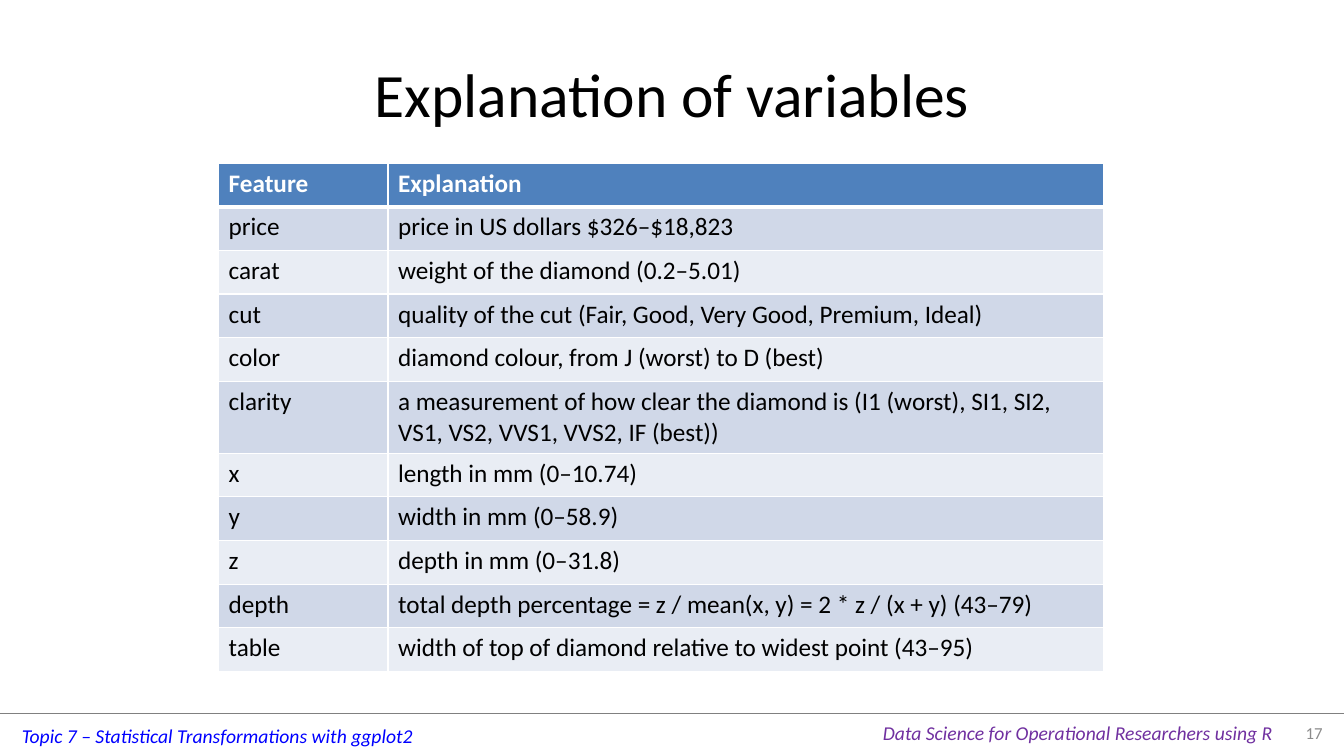
from lxml import etree
from pptx import Presentation
from pptx.dml.color import RGBColor
from pptx.enum.shapes import MSO_CONNECTOR
from pptx.enum.text import MSO_ANCHOR, PP_ALIGN
from pptx.oxml.ns import qn
from pptx.util import Cm, Pt

BLACK = RGBColor(0x00, 0x00, 0x00)
WHITE = RGBColor(0xFF, 0xFF, 0xFF)
GREY = RGBColor(0x80, 0x80, 0x80)
LIGHT_GREY = RGBColor(0x8C, 0x8C, 0x8C)
BLUE = RGBColor(0x00, 0x00, 0xFF)
PURPLE = RGBColor(0x70, 0x30, 0xA0)
HEADER = RGBColor(0x4F, 0x81, 0xBD)
BANDS = [RGBColor(0xE9, 0xED, 0xF4), RGBColor(0xD0, 0xD8, 0xE8)]

WIDTH, HEIGHT = 33.87, 19.05
ROW_HEIGHT, TALL_ROW_HEIGHT = 1.1, 1.81
FEATURES = [
    ("Feature", "Explanation"),
    ("price", "price in US dollars $326–$18,823"),
    ("carat", "weight of the diamond (0.2–5.01)"),
    ("cut", "quality of the cut (Fair, Good, Very Good, Premium, Ideal)"),
    ("color", "diamond colour, from J (worst) to D (best)"),
    ("clarity", "a measurement of how clear the diamond is "
                "(I1 (worst), SI1, SI2, VS1, VS2, VVS1, VVS2, IF (best))"),
    ("x", "length in mm (0–10.74)"),
    ("y", "width in mm (0–58.9)"),
    ("z", "depth in mm (0–31.8)"),
    ("depth", "total depth percentage = z / mean(x, y) = 2 * z / (x + y) (43–79)"),
    ("table", "width of top of diamond relative to widest point (43–95)"),
]


def write(tf, text, size=18, color=BLACK, bold=False, italic=False,
          align=PP_ALIGN.LEFT):
    """Put one formatted run of text in a text frame."""
    p = tf.paragraphs[0]
    p.alignment = align
    r = p.add_run()
    r.text = text
    r.font.name = "Calibri"
    r.font.size = Pt(size)
    r.font.color.rgb = color
    r.font.bold = bold
    r.font.italic = italic


def add_label(s, text, left, top, width, height, wrap=False,
              anchor=MSO_ANCHOR.TOP, **fmt):
    """Add a text box holding one line of text."""
    tf = s.shapes.add_textbox(Cm(left), Cm(top), Cm(width), Cm(height)).text_frame
    tf.word_wrap = wrap
    tf.vertical_anchor = anchor
    write(tf, text, **fmt)


def add_title(s, text, left, top, width, height):
    """Place and format the title placeholder."""
    sp = s.shapes.title
    sp.left, sp.top, sp.width, sp.height = Cm(left), Cm(top), Cm(width), Cm(height)
    sp.text_frame.vertical_anchor = MSO_ANCHOR.MIDDLE
    write(sp.text_frame, text, size=44, align=PP_ALIGN.CENTER)


def set_borders(cell, top, bottom):
    """Give a cell white borders, 1 pt at the sides."""
    tc_pr = cell._tc.get_or_add_tcPr()
    for side, width in (("L", 1), ("R", 1), ("T", top), ("B", bottom)):
        ln = etree.SubElement(tc_pr, qn(f"a:ln{side}"), w=str(Pt(width)))
        fill = etree.SubElement(ln, qn("a:solidFill"))
        etree.SubElement(fill, qn("a:srgbClr"), val=str(WHITE))


def add_feature_table(s, rows, left, top, widths):
    """Add the banded table of features and their explanations."""
    heights = [TALL_ROW_HEIGHT if name == "clarity" else ROW_HEIGHT
               for name, _ in rows]
    table = s.shapes.add_table(len(rows), len(widths), Cm(left), Cm(top),
                               Cm(sum(widths)), Cm(sum(heights))).table
    for column, width in zip(table.columns, widths):
        column.width = Cm(width)
    for i, (row, height) in enumerate(zip(rows, heights)):
        table.rows[i].height = Cm(height)
        head = i == 0
        for j, text in enumerate(row):
            cell = table.cell(i, j)
            set_borders(cell, top=3 if i == 1 else 1, bottom=3 if head else 1)
            cell.fill.solid()
            cell.fill.fore_color.rgb = HEADER if head else BANDS[i % 2]
            write(cell.text_frame, text, color=WHITE if head else BLACK, bold=head)


def add_footer(s, left, top, width):
    """Add the rule, the two footer texts and the slide number."""
    right = left + width
    line = s.shapes.add_connector(MSO_CONNECTOR.STRAIGHT, Cm(left), Cm(top),
                                  Cm(right), Cm(top))
    line.line.color.rgb = GREY
    line.line.width = Pt(0.25)
    etree.SubElement(line._element.spPr, qn("a:effectLst"))
    add_label(s, "Topic 7 – Statistical Transformations with ggplot2",
              left + 0.3, top + 0.15, 10.5, 0.86,
              size=14, color=BLUE, italic=True)
    add_label(s, "Data Science for Operational Researchers using R",
              right - 11.87, top + 0.09, 10.44, 0.86,
              size=14, color=PURPLE, italic=True)
    add_label(s, "17", right - 1.69, top, 1.4, 1, wrap=True,
              anchor=MSO_ANCHOR.MIDDLE, size=12, color=LIGHT_GREY,
              align=PP_ALIGN.RIGHT)


def main():
    """Build the slide and save it."""
    prs = Presentation()
    prs.slide_width, prs.slide_height = Cm(WIDTH), Cm(HEIGHT)
    s = prs.slides.add_slide(prs.slide_layouts[5])
    add_footer(s, 0, 17.96, WIDTH)
    add_title(s, "Explanation of variables", 1.7, 0.76, 30.48, 3.18)
    add_feature_table(s, FEATURES, 5.51, 4.11, [4.27, 18.03])
    prs.save("out.pptx")


if __name__ == "__main__":
    main()
